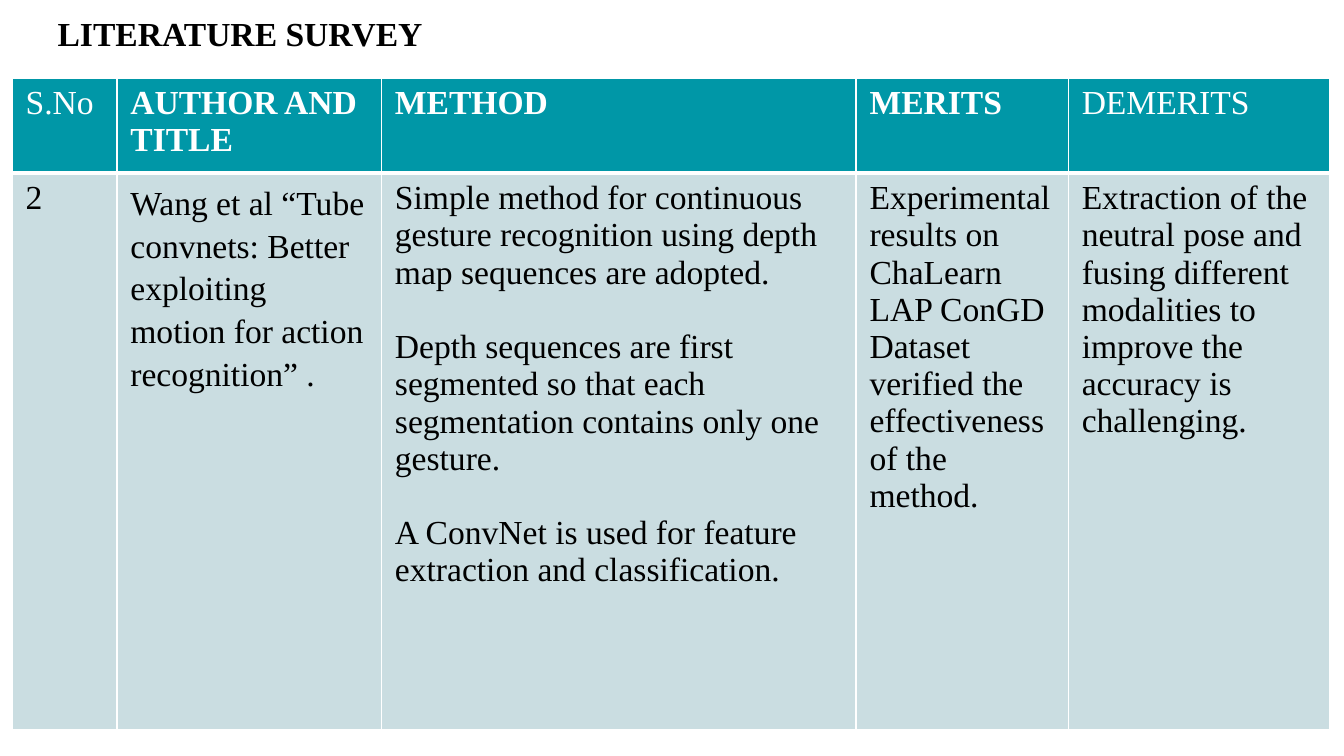
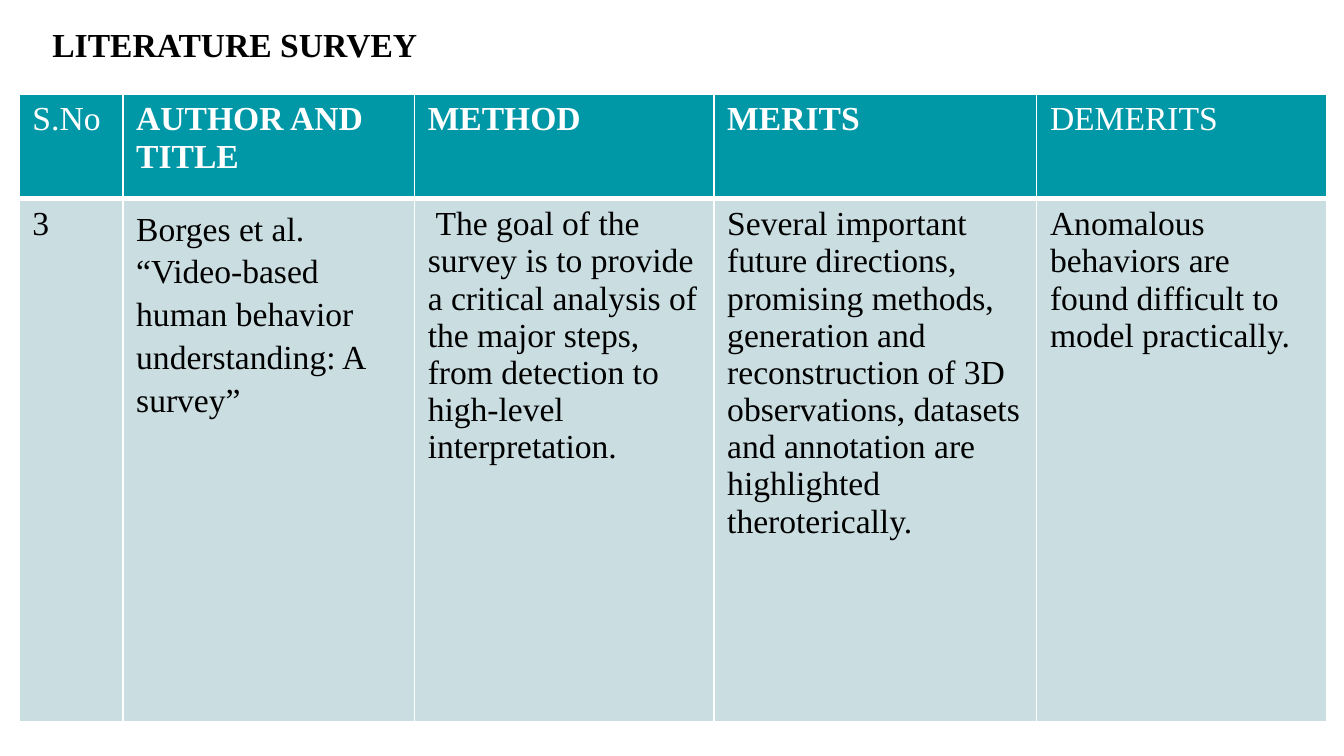
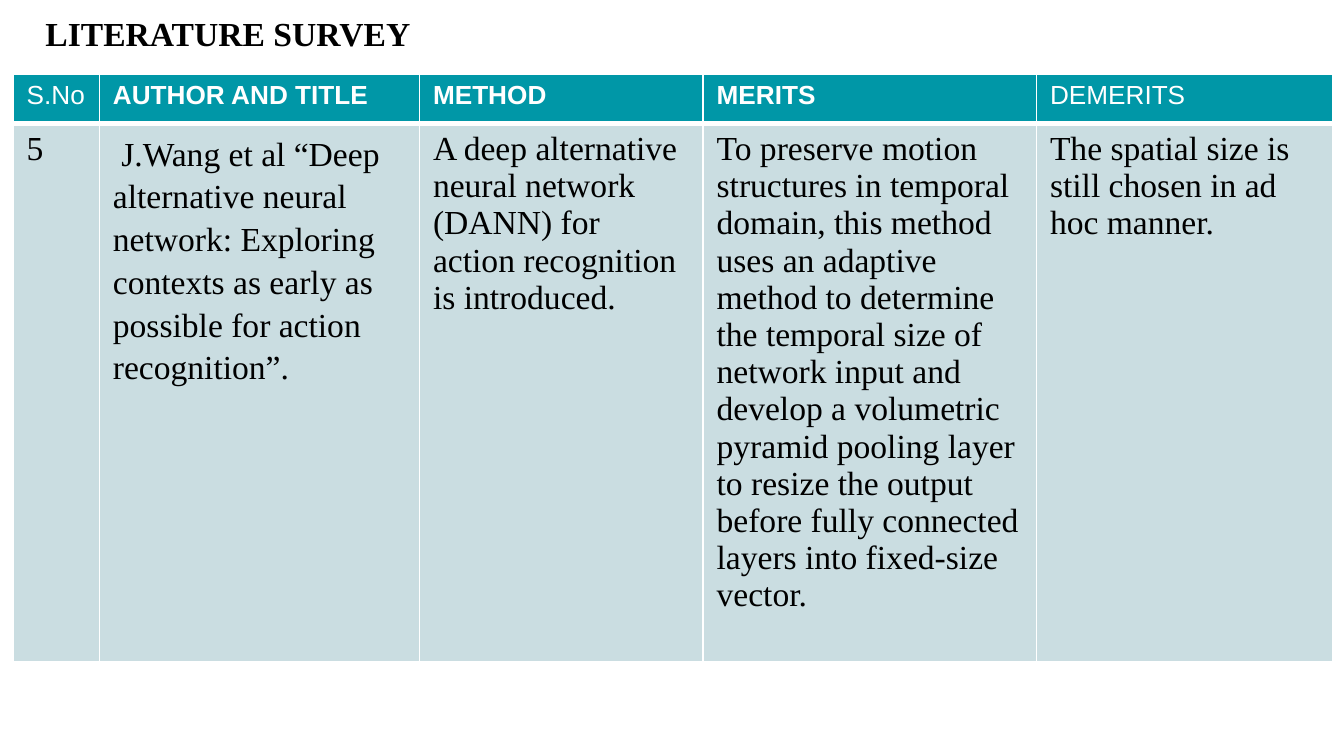
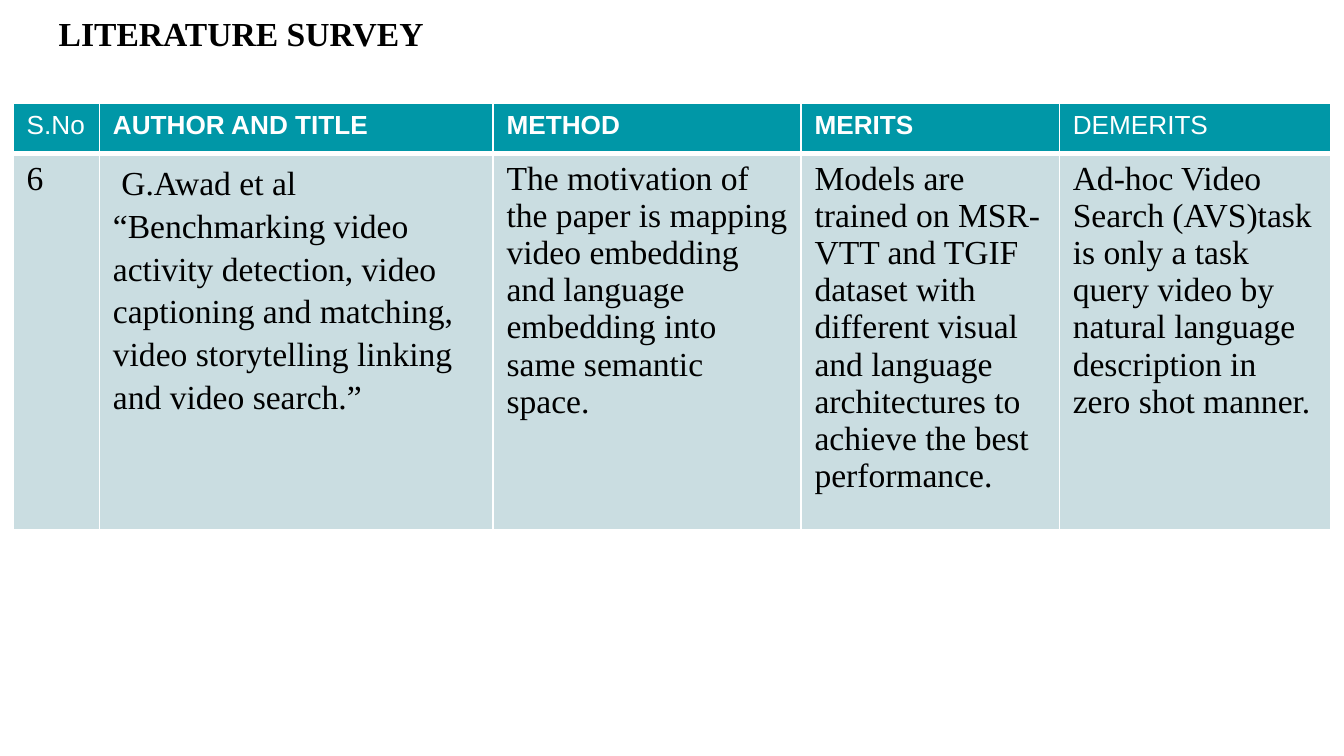
from dataclasses import dataclass

from lxml.etree import SubElement
from pptx import Presentation
from pptx.dml.color import RGBColor
from pptx.enum.text import MSO_ANCHOR
from pptx.oxml.ns import qn
from pptx.util import Cm, Pt

COLOURS = {
    "header": "0097A7",
    "body": "CADDE1",
    "border": "FFFFFF",
    "header_text": "FFFFFF",
    "text": "000000",
}
SERIF = "Times New Roman"
SANS = "Arial"
TITLE = "LITERATURE SURVEY"
TITLE_WIDTH = 23.67
TITLE_FORMAT = {"name": SERIF, "size": Pt(18), "bold": True}
BODY_FORMAT = {"name": SERIF, "size": Pt(18), "bold": False}
HEADINGS = {
    "S.No": False,
    "AUTHOR AND TITLE": True,
    "METHOD": True,
    "MERITS": True,
    "DEMERITS": False,
}
AUTHOR_COLUMN = 1
AUTHOR_SPACING = 1.15
GAP = Pt(20)
THIN, THICK = 1, 3


@dataclass(frozen=True)
class Passage:
    text: str
    gap_before: bool = False


@dataclass(frozen=True)
class Survey:
    title_box: tuple[float, float, float]
    corner: tuple[float, float]
    widths: tuple[float, ...]
    heights: tuple[float, float]
    heading_font: str
    heading_size: int
    entry: tuple[str | tuple[Passage, ...], ...]


SURVEYS = (
    Survey(
        (0.84, 0, 1.04), (0.23, 1.47), (1.98, 5, 8.97, 4.01, 4.95), (1.8, 10.52),
        SERIF, 18,
        (
            "2",
            "Wang et al “Tube convnets: Better exploiting motion for action recognition” .",
            (
                Passage("Simple method for continuous gesture recognition using depth "
                        "map sequences are adopted."),
                Passage("Depth sequences are first segmented so that each "
                        "segmentation contains only one gesture.", True),
                Passage("A ConvNet is used for feature", True),
                Passage("extraction and classification."),
            ),
            "Experimental results on ChaLearn LAP ConGD Dataset verified the "
            "effectiveness of the method.",
            "Extraction of the neutral pose and fusing different modalities to "
            "improve the accuracy is challenging.",
        ),
    ),
    Survey(
        (0.74, 0.2, 1.6), (0.36, 1.78), (1.96, 5.51, 5.66, 6.1, 5.49), (1.98, 9.88),
        SERIF, 18,
        (
            "3",
            "Borges et al. “Video-based human behavior understanding: A survey”",
            " The goal of the survey is to provide a critical analysis of the major "
            "steps, from detection to high-level interpretation.",
            "Several important future directions, promising methods, generation and "
            "reconstruction of 3D observations, datasets and annotation are "
            "highlighted theroterically.",
            "Anomalous behaviors are found difficult to model practically.",
        ),
    ),
    Survey(
        (0.61, 0, 1.6), (0.25, 1.4), (1.63, 6.05, 5.36, 6.3, 5.59), (0.94, 5.64),
        SANS, 14,
        (
            "5",
            " J.Wang et al “Deep alternative neural network: Exploring contexts as "
            "early as possible for action recognition”.",
            "A deep alternative neural network (DANN) for action recognition is "
            "introduced.",
            "To preserve motion structures in temporal domain, this method uses an "
            "adaptive method to determine the temporal size of network input and "
            "develop a volumetric pyramid pooling layer to resize the output before "
            "fully connected layers into fixed-size vector.",
            "The spatial size is still chosen in ad hoc manner.",
        ),
    ),
    Survey(
        (0.86, 0, 1.6), (0.25, 1.96), (1.63, 7.44, 5.82, 4.88, 5.13), (0.94, 5.64),
        SANS, 14,
        (
            "6",
            " G.Awad et al “Benchmarking video activity detection, video captioning "
            "and matching, video storytelling linking and video search.”",
            "The motivation of the paper is mapping video embedding and language "
            "embedding into same semantic space.",
            "Models are trained on MSR-VTT and TGIF dataset with different visual "
            "and language architectures to achieve the best performance.",
            "Ad-hoc Video Search (AVS)task is only a task query video by natural "
            "language description in zero shot manner.",
        ),
    ),
)


def colour(name: str) -> RGBColor:
    return RGBColor.from_string(COLOURS[name])


def write(para, text: str, style: dict, colour_name: str) -> None:
    span = para.add_run()
    span.text = text
    for name, value in style.items():
        setattr(span.font, name, value)
    span.font.color.rgb = colour(colour_name)


def paint_cell(cell, fill_name: str, top: int, bottom: int) -> None:
    properties = cell._tc.get_or_add_tcPr()
    for side, width in {"L": THIN, "R": THIN, "T": top, "B": bottom}.items():
        line = SubElement(properties, qn(f"a:ln{side}"), w=str(Pt(width)))
        fill = SubElement(line, qn("a:solidFill"))
        SubElement(fill, qn("a:srgbClr"), val=COLOURS["border"])
    cell.fill.solid()
    cell.fill.fore_color.rgb = colour(fill_name)


def add_title(page, survey: Survey) -> None:
    left, top, height = survey.title_box
    box = page.shapes.add_textbox(Cm(left), Cm(top), Cm(TITLE_WIDTH), Cm(height))
    frame = box.text_frame
    settings = {"word_wrap": True, "vertical_anchor": MSO_ANCHOR.TOP}
    settings |= {f"margin_{side}": Cm(0.25) for side in ("left", "top", "right", "bottom")}
    for name, value in settings.items():
        setattr(frame, name, value)
    write(frame.paragraphs[0], TITLE, TITLE_FORMAT, "text")


def fill_entry(cell, content: str | tuple[Passage, ...], column: int) -> None:
    passages = (Passage(content),) if isinstance(content, str) else content
    frame = cell.text_frame
    for index, passage in enumerate(passages):
        para = frame.add_paragraph() if index else frame.paragraphs[0]
        if passage.gap_before:
            para.space_before = GAP
        if column == AUTHOR_COLUMN:
            para.line_spacing = AUTHOR_SPACING
        write(para, passage.text, BODY_FORMAT, "text")


def add_survey_table(page, survey: Survey) -> None:
    left, top = survey.corner
    table = page.shapes.add_table(
        len(survey.heights), len(survey.widths), Cm(left), Cm(top),
        Cm(sum(survey.widths)), Cm(sum(survey.heights)),
    ).table
    table.horz_banding = False
    for column, width in zip(table.columns, survey.widths):
        column.width = Cm(width)
    for row, height in zip(table.rows, survey.heights):
        row.height = Cm(height)
    for index, (heading, bold) in enumerate(HEADINGS.items()):
        cell = table.cell(0, index)
        paint_cell(cell, "header", THIN, THICK)
        style = {"name": survey.heading_font, "size": Pt(survey.heading_size), "bold": bold}
        write(cell.text_frame.paragraphs[0], heading, style, "header_text")
    for index, content in enumerate(survey.entry):
        cell = table.cell(1, index)
        paint_cell(cell, "body", THICK, THIN)
        fill_entry(cell, content, index)


def main() -> None:
    deck = Presentation()
    deck.slide_width, deck.slide_height = Cm(25.4), Cm(14.29)
    for survey in SURVEYS:
        page = deck.slides.add_slide(deck.slide_layouts[6])
        add_title(page, survey)
        add_survey_table(page, survey)
    deck.save("out.pptx")


if __name__ == "__main__":
    main()
